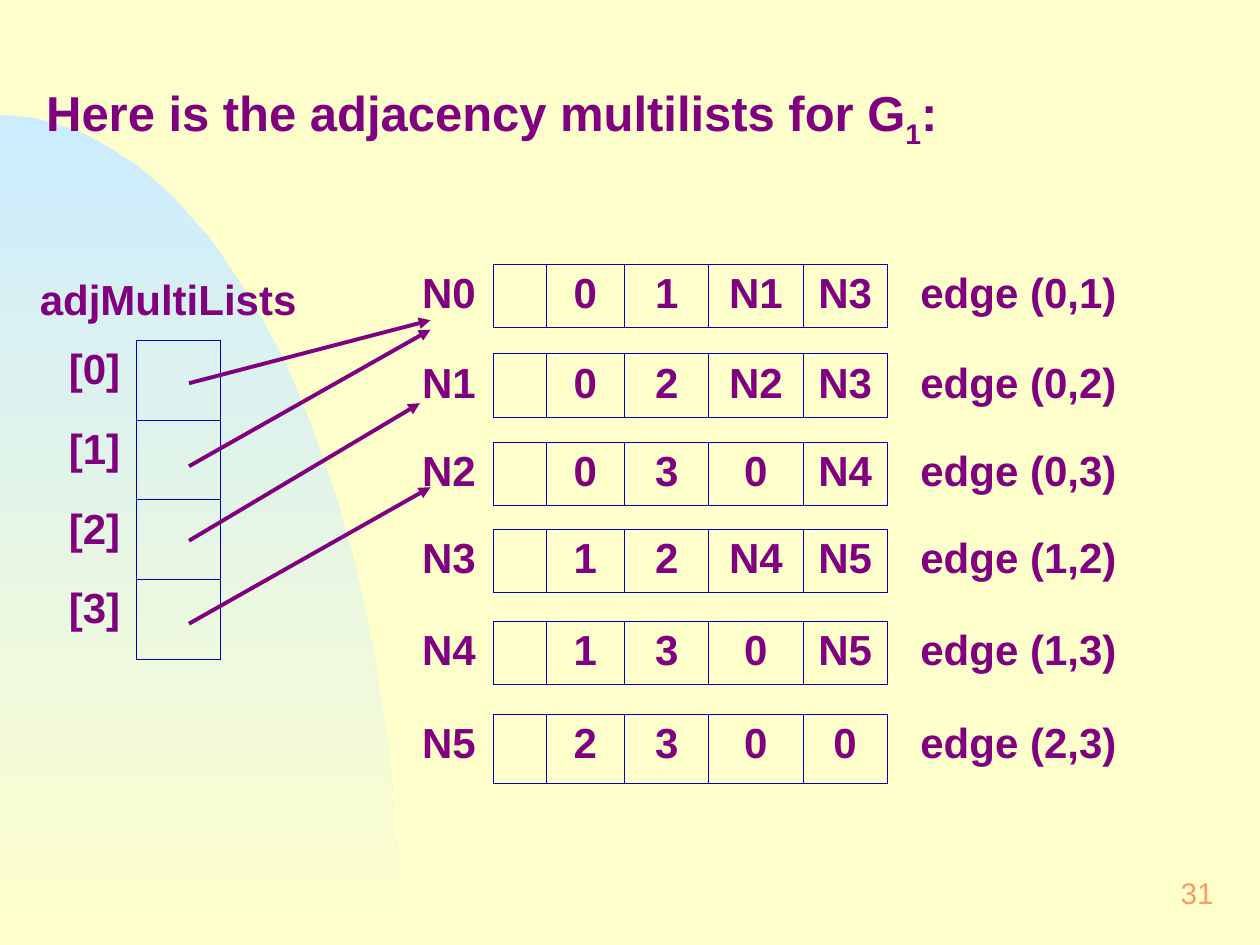
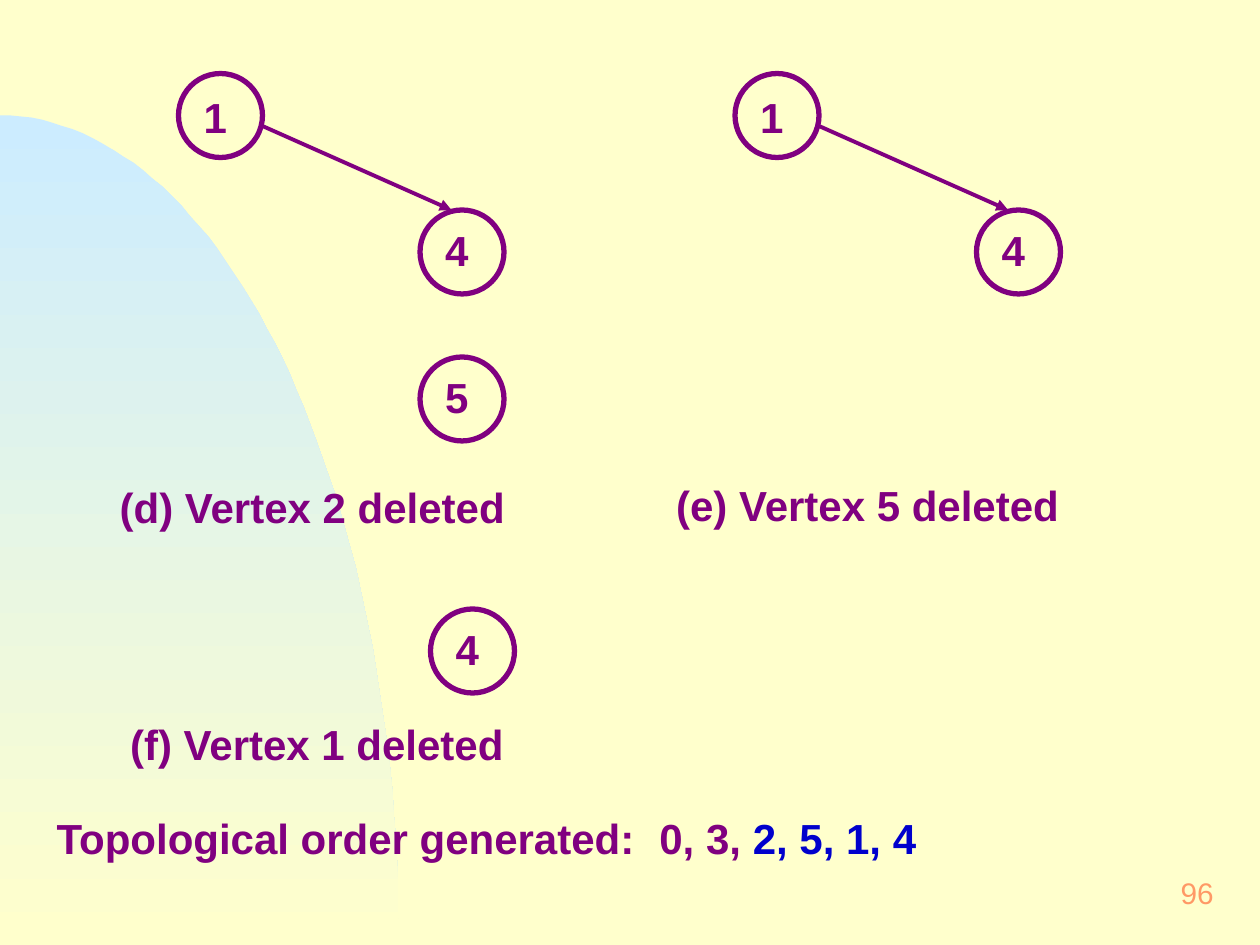
from dataclasses import dataclass
from math import cos, pi, sin
from typing import NamedTuple

from lxml.etree import SubElement
from pptx import Presentation
from pptx.dml.color import RGBColor
from pptx.enum.shapes import MSO_CONNECTOR, MSO_SHAPE
from pptx.enum.text import MSO_ANCHOR, MSO_AUTO_SIZE, PP_ALIGN
from pptx.oxml.ns import qn
from pptx.presentation import Presentation as Deck
from pptx.slide import Slide
from pptx.table import _Cell as Cell
from pptx.text.text import TextFrame, _Paragraph as Paragraph
from pptx.util import Emu, Pt

# Shared style: 120 px to the inch
PX = 7620
WIDTH, HEIGHT = 1200, 900
FONT = "Arial"
CREAM, SKY, PURPLE, BLUE, ORANGE = "FFFFCC", "CCECFF", "800080", "0000CC", "FF9966"
BODY_SIZE, TITLE_SIZE, NUMBER_SIZE = 24, 28, 17
CIRCLE = 80
TEXT_HEIGHT = 62
SIDES = {"l": "a:lnL", "r": "a:lnR", "t": "a:lnT", "b": "a:lnB"}


@dataclass(frozen=True)
class Span:
    text: str
    color: str = PURPLE
    size: int = BODY_SIZE
    bold: bool = True
    baseline: int = 0


class Area(NamedTuple):
    left: int
    top: int
    width: int
    height: int = TEXT_HEIGHT


class Arrow(NamedTuple):
    x1: int
    y1: int
    x2: int
    y2: int


class Vertex(NamedTuple):
    label: str
    left: int
    top: int
    drop: int = 7


class Node(NamedTuple):
    top: int
    height: int
    vertices: tuple[int, int]
    links: tuple[str, str]


class Caption(NamedTuple):
    text: str
    left: int
    top: int


INDEX_AREA = Area(50, 324, 160, 304)
INDEX_COLUMNS = [80, 80]
NODE_LEFT = 390
NODE_COLUMNS = [80, 50, 75, 80, 90, 80, 250]
NODES = [
    Node(252, 60, (0, 1), ("N1", "N3")),
    Node(337, 60, (0, 2), ("N2", "N3")),
    Node(421, 60, (0, 3), ("0", "N4")),
    Node(504, 60, (1, 2), ("N4", "N5")),
    Node(592, 60, (1, 3), ("0", "N5")),
    Node(680, 66, (2, 3), ("0", "0")),
]
LIST_ARROWS = [
    Arrow(180, 365, 410, 305),
    Arrow(180, 444, 410, 314),
    Arrow(180, 515, 400, 384),
    Arrow(180, 594, 410, 464),
]

VERTICES = [
    Vertex("1", 170, 70, 10),
    Vertex("4", 400, 200),
    Vertex("5", 400, 340),
    Vertex("1", 700, 70, 10),
    Vertex("4", 930, 200),
    Vertex("4", 410, 580),
]
GRAPH_ARROWS = [Arrow(left, 120, left + 180, 200) for left in (250, 780)]
CAPTIONS = [
    Caption("(d) Vertex 2 deleted", 100, 452),
    Caption("(e) Vertex 5 deleted", 630, 450),
    Caption("(f) Vertex 1 deleted", 110, 677),
]


def px(value: float) -> Emu:
    return Emu(round(value * PX))


def rgb(color: str) -> RGBColor:
    return RGBColor.from_string(color)


def add_spans(para: Paragraph, *spans: Span) -> None:
    for span in spans:
        run = para.add_run()
        run.text = span.text
        run.font.name = FONT
        run.font.size = Pt(span.size)
        run.font.bold = span.bold
        run.font.color.rgb = rgb(span.color)
        if span.baseline:
            run.font._element.set("baseline", str(span.baseline * 1000))


def set_frame(frame: TextFrame) -> None:
    frame.word_wrap = True
    frame.margin_left = frame.margin_right = px(14)
    frame.margin_top = frame.margin_bottom = px(7)


def add_text(page: Slide, area: Area, *spans: Span) -> TextFrame:
    box = page.shapes.add_textbox(*map(px, area))
    frame = box.text_frame
    set_frame(frame)
    frame.auto_size = MSO_AUTO_SIZE.SHAPE_TO_FIT_TEXT
    add_spans(frame.paragraphs[0], *spans)
    return frame


def add_arrow(page: Slide, arrow: Arrow) -> None:
    line = page.shapes.add_connector(MSO_CONNECTOR.STRAIGHT, *map(px, arrow))
    line.line.color.rgb = rgb(PURPLE)
    line.line.width = Pt(2.25)
    SubElement(line.line._get_or_add_ln(), qn("a:tailEnd"), type="triangle")
    SubElement(line.element.spPr, qn("a:effectLst"))


def add_backdrop(page: Slide) -> None:
    """Quarter ellipse behind everything else."""
    radius_x, radius_y, steps = 380, 790, 60
    curve = [
        (radius_x * sin(step * pi / 2 / steps), HEIGHT - radius_y * cos(step * pi / 2 / steps))
        for step in range(steps + 1)
    ]
    builder = page.shapes.build_freeform(0, HEIGHT, scale=PX)
    builder.add_line_segments(curve)
    arc = builder.convert_to_shape()
    arc.shadow.inherit = False
    arc.line.fill.background()
    arc.fill.gradient()
    arc.fill.gradient_angle = 270
    for stop, color, position in zip(arc.fill.gradient_stops, (SKY, CREAM), (0, 1)):
        stop.color.rgb = rgb(color)
        stop.position = position
    arc.element.getparent().insert(2, arc.element)


def add_page(deck: Deck, layout: int, number: int) -> Slide:
    page = deck.slides.add_slide(deck.slide_layouts[layout])
    add_backdrop(page)
    frame = add_text(page, Area(920, 820, 250, 60),
                     Span(str(number), ORANGE, NUMBER_SIZE, bold=False))
    frame.auto_size = MSO_AUTO_SIZE.NONE
    frame.vertical_anchor = MSO_ANCHOR.MIDDLE
    frame.paragraphs[0].alignment = PP_ALIGN.RIGHT
    return page


def set_title(page: Slide, area: Area, *spans: Span) -> None:
    title = page.shapes.title
    title.left, title.top, title.width, title.height = map(px, area)
    frame = title.text_frame
    set_frame(frame)
    frame.auto_size = MSO_AUTO_SIZE.NONE
    frame.vertical_anchor = MSO_ANCHOR.TOP
    frame.paragraphs[0].alignment = PP_ALIGN.LEFT
    add_spans(frame.paragraphs[0], *spans)


def style_cell(cell: Cell, visible_sides: str) -> None:
    properties = cell._tc.get_or_add_tcPr()
    for side, tag in SIDES.items():
        border = SubElement(properties, qn(tag), w=str(Pt(0.45)))
        if side in visible_sides:
            fill = SubElement(border, qn("a:solidFill"))
            SubElement(fill, qn("a:srgbClr"), val=BLUE)
        else:
            SubElement(border, qn("a:noFill"))
    cell.fill.background()


def add_grid(page: Slide, area: Area, columns: list[int], rows: list[list[str]],
             borders: list[str], aligns: list[PP_ALIGN]) -> None:
    table = page.shapes.add_table(len(rows), len(columns), *map(px, area)).table
    table.first_row = table.horz_banding = False
    for column, width in zip(table.columns, columns):
        column.width = px(width)
    for row, texts in zip(table.rows, rows):
        row.height = px(area.height // len(rows))
        for cell, text, sides, align in zip(row.cells, texts, borders, aligns):
            style_cell(cell, sides)
            para = cell.text_frame.paragraphs[0]
            para.alignment = align
            if text:
                add_spans(para, Span(text))


def add_vertex(page: Slide, vertex: Vertex) -> None:
    circle = page.shapes.add_shape(
        MSO_SHAPE.OVAL, px(vertex.left), px(vertex.top), px(CIRCLE), px(CIRCLE))
    circle.shadow.inherit = False
    circle.fill.background()
    circle.line.color.rgb = rgb(PURPLE)
    circle.line.width = Pt(3)
    add_text(page, Area(vertex.left + 10, vertex.top + vertex.drop, 50), Span(vertex.label))


def build_multilists(deck: Deck) -> None:
    page = add_page(deck, 5, 31)
    set_title(page, Area(30, 72, 1150, 79),
              Span("Here is the adjacency multilists for G", size=TITLE_SIZE),
              Span("1", size=TITLE_SIZE, baseline=-25),
              Span(":", size=TITLE_SIZE))

    # Heads of the lists
    add_grid(page, INDEX_AREA, INDEX_COLUMNS, [[f"[{index}]", ""] for index in range(4)],
             ["r", "lrtb"], [PP_ALIGN.CENTER] * 2)
    add_text(page, Area(24, 254, 274), Span("adjMultiLists"))

    # One node per edge
    borders = ["r"] + ["lrtb"] * 5 + ["l"]
    aligns = [PP_ALIGN.LEFT] + [PP_ALIGN.CENTER] * 6
    for index, node in enumerate(NODES):
        start, end = node.vertices
        texts = [f"N{index}", "", str(start), str(end), *node.links, f"edge ({start},{end})"]
        area = Area(NODE_LEFT, node.top, sum(NODE_COLUMNS), node.height)
        add_grid(page, area, NODE_COLUMNS, [texts], borders, aligns)

    for arrow in LIST_ARROWS:
        add_arrow(page, arrow)


def build_topological_order(deck: Deck) -> None:
    page = add_page(deck, 6, 96)
    for vertex in VERTICES:
        add_vertex(page, vertex)
    for arrow in GRAPH_ARROWS:
        add_arrow(page, arrow)
    for caption in CAPTIONS:
        add_text(page, Area(caption.left, caption.top, 420), Span(caption.text))

    # Result line, with a tab stop before the order
    frame = add_text(page, Area(40, 767, 1100))
    para = frame.paragraphs[0]
    tabs = SubElement(para._p.get_or_add_pPr(), qn("a:tabLst"))
    SubElement(tabs, qn("a:tab"), pos=str(px(574)), algn="l")
    add_spans(para, Span("Topological order generated:\t0, 3, "), Span("2, 5, 1, 4", BLUE))


def main() -> None:
    deck = Presentation()
    deck.slide_width, deck.slide_height = px(WIDTH), px(HEIGHT)
    background = deck.slide_master.background.fill
    background.solid()
    background.fore_color.rgb = rgb(CREAM)
    build_multilists(deck)
    build_topological_order(deck)
    deck.save("out.pptx")


if __name__ == "__main__":
    main()
